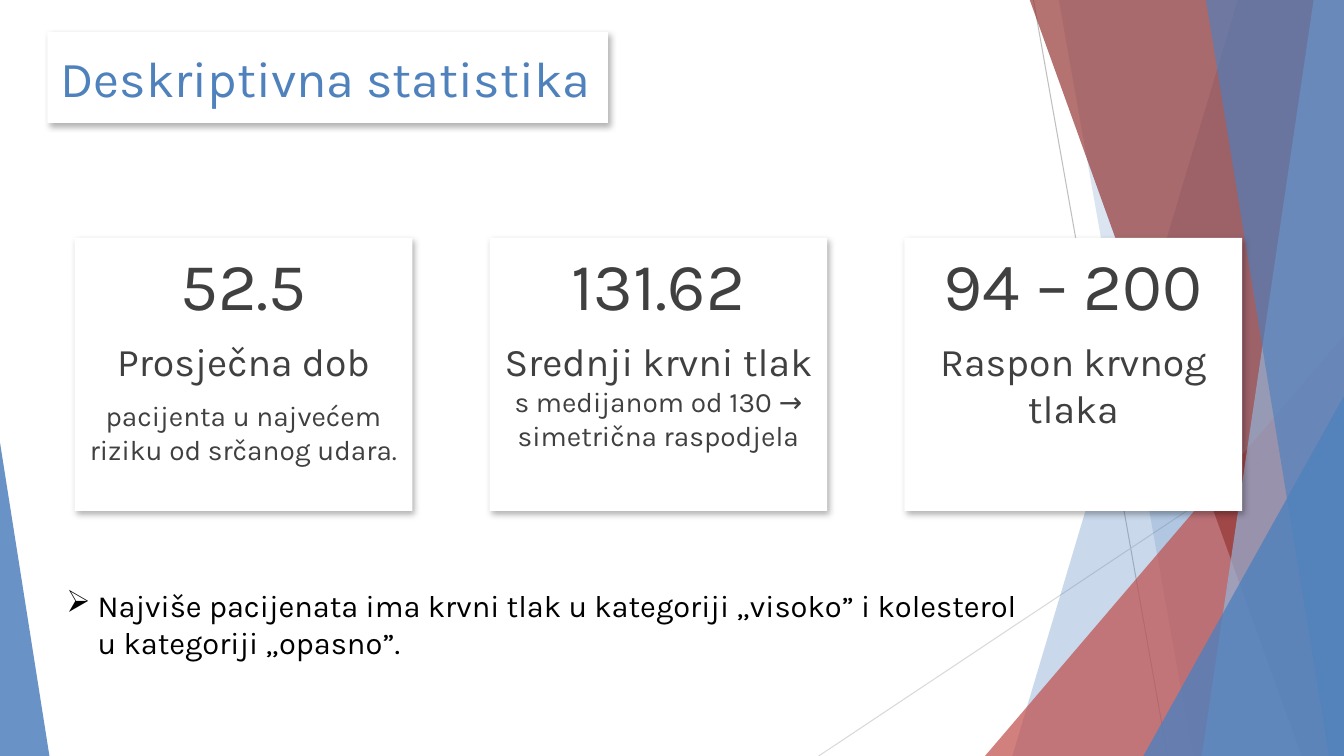
import pptx
import pptx.dml.color
import pptx.enum.shapes
import pptx.enum.text
import pptx.oxml
import pptx.oxml.ns
import pptx.util
from pptx.util import Inches

COLOURS = {
    "blue": "4F81BD",
    "light blue": "95B3D7",
    "red": "C0504D",
    "dark red": "953735",
    "white": "FFFFFF",
    "black": "000000",
    "text": "404040",
    "grey": "BFBFBF",
    "light grey": "D9D9D9",
}
FONT = "Karla"
RIGHT, TOP, BOTTOM = 13.33, -0.01, 7.5

# Each band runs to the right edge: top x, bottom x, colour, opacity in percent
BACK_BANDS = [(12.28, 10.04, "blue", 30), (10.5, 11.83, "blue", 20)]
FRONT_BANDS = [
    (10.21, 12.91, "dark red", 70),
    (13.03, 11.92, "light blue", 70),
    (11.96, 13.18, "blue", 65),
]

# Each card holds paragraphs, and each paragraph holds (text, size) lines
CARDS = [
    [[("52.5", 48)], [("Prosječna dob", 28)],
     [("pacijenta u najvećem riziku od srčanog udara.", 20)]],
    [[("131.62", 48)],
     [("Srednji krvni tlak", 28),
      ("s medijanom od 130 → simetrična raspodjela", 20)]],
    [[("94 – 200", 48)], [("Raspon krvnog tlaka", 28)]],
]


def set_attributes(target, values):
    for name, value in values.items():
        setattr(target, name, value)


def rgb(colour):
    return pptx.dml.color.RGBColor.from_string(COLOURS[colour])


def add_effects(parent, content=""):
    namespace = pptx.oxml.ns.nsdecls("a")
    parent.append(pptx.oxml.parse_xml(f"<a:effectLst {namespace}>{content}</a:effectLst>"))


def fill_shape(shape, colour, opacity=100):
    shape.shadow.inherit = False
    shape.line.fill.background()
    shape.fill.solid()
    shape.fill.fore_color.rgb = rgb(colour)
    if opacity < 100:
        colour_element = shape.fill._xPr.find(".//" + pptx.oxml.ns.qn("a:srgbClr"))
        alpha = colour_element.makeelement(
            pptx.oxml.ns.qn("a:alpha"), {"val": str(opacity * 1000)})
        colour_element.append(alpha)


def add_thin_line(slide, start, end, colour):
    line = slide.shapes.add_connector(
        pptx.enum.shapes.MSO_CONNECTOR.STRAIGHT, *map(Inches, start + end))
    line.line.color.rgb = rgb(colour)
    line.line.width = pptx.util.Pt(0.75)
    add_effects(line._element.spPr)


def add_band(slide, top_x, bottom_x, colour, opacity):
    builder = slide.shapes.build_freeform(Inches(top_x), Inches(TOP))
    corners = [(RIGHT, TOP), (RIGHT, BOTTOM), (bottom_x, BOTTOM)]
    builder.add_line_segments([(Inches(x), Inches(y)) for x, y in corners], close=True)
    fill_shape(builder.convert_to_shape(), colour, opacity)


def add_triangle(slide, place, apex, colour, opacity):
    triangle = slide.shapes.add_shape(
        pptx.enum.shapes.MSO_SHAPE.ISOSCELES_TRIANGLE, *map(Inches, place))
    triangle.adjustments[0] = apex
    fill_shape(triangle, colour, opacity)


def add_panel(slide, place, frame_format):
    panel = slide.shapes.add_shape(
        pptx.enum.shapes.MSO_SHAPE.RECTANGLE, *map(Inches, place))
    fill_shape(panel, "white")
    properties = panel._element.spPr
    properties.remove(properties.find(pptx.oxml.ns.qn("a:effectLst")))
    add_effects(properties, (
        '<a:outerShdw blurRad="57150" dist="33020" dir="3180000" algn="ctr" rotWithShape="0">'
        f'<a:srgbClr val="{COLOURS["black"]}"><a:alpha val="30000"/></a:srgbClr></a:outerShdw>'))
    set_attributes(panel.text_frame, {"word_wrap": True, **frame_format})
    return panel.text_frame


def add_text(paragraph, text, size, colour):
    run = paragraph.add_run()
    run.text = text
    set_attributes(run.font, {"name": FONT, "size": pptx.util.Pt(size)})
    run.font.color.rgb = rgb(colour)


def add_card(slide, place, paragraphs):
    frame = add_panel(slide, place, {"vertical_anchor": pptx.enum.text.MSO_ANCHOR.TOP})
    for index, lines in enumerate(paragraphs):
        paragraph = frame.add_paragraph() if index else frame.paragraphs[0]
        set_attributes(paragraph, {
            "alignment": pptx.enum.text.PP_ALIGN.CENTER,
            "space_before": pptx.util.Pt(10),
        })
        for line_index, (text, size) in enumerate(lines):
            if line_index:
                paragraph.add_line_break()
            add_text(paragraph, text, size, "text")


def add_title(slide, text):
    margin = Inches(0.13)
    sides = ("left", "top", "right", "bottom")
    frame = add_panel(slide, (0.47, 0.32, 5.56, 0.9), {
        "vertical_anchor": pptx.enum.text.MSO_ANCHOR.MIDDLE,
        **{f"margin_{side}": margin for side in sides},
    })
    paragraph = frame.paragraphs[0]
    paragraph.alignment = pptx.enum.text.PP_ALIGN.LEFT
    add_text(paragraph, text, 36, "blue")


def add_bullet(slide, place, text):
    frame = slide.shapes.add_textbox(*map(Inches, place)).text_frame
    set_attributes(frame, {
        "word_wrap": True,
        "auto_size": pptx.enum.text.MSO_AUTO_SIZE.SHAPE_TO_FIT_TEXT,
    })
    paragraph = frame.paragraphs[0]
    properties = paragraph._p.get_or_add_pPr()
    indent = Inches(0.31)
    properties.set("marL", str(indent))
    properties.set("indent", str(-indent))
    properties.append(pptx.oxml.parse_xml(
        f'<a:buChar {pptx.oxml.ns.nsdecls("a")} char="➢"/>'))
    add_text(paragraph, text, 22, "black")


def add_decoration(slide):
    add_thin_line(slide, (10.25, 0), (11.58, BOTTOM), "grey")
    add_thin_line(slide, (RIGHT, 4.03), (8.12, BOTTOM), "light grey")
    for band in BACK_BANDS:
        add_band(slide, *band)
    add_triangle(slide, (9.77, 3.33, 3.56, 4.17), 1, "red", 72)
    for band in FRONT_BANDS:
        add_band(slide, *band)
    add_triangle(slide, (11.34, 3.93, 1.99, 3.57), 1, "blue", 80)
    add_triangle(slide, (0, 4.39, 0.49, 3.11), 0, "blue", 85)


def main():
    presentation = pptx.Presentation()
    set_attributes(presentation, {
        "slide_width": Inches(13.33), "slide_height": Inches(7.5)})
    slide = presentation.slides.add_slide(presentation.slide_layouts[6])

    # Coloured bands at the edges
    add_decoration(slide)

    # Three equally spaced figures
    for index, paragraphs in enumerate(CARDS):
        add_card(slide, (0.74 + index * 4.115, 2.36, 3.35, 2.71), paragraphs)

    # Conclusion and title
    add_bullet(slide, (0.56, 5.77, 9.75, 0.84),
               "Najviše pacijenata ima krvni tlak u kategoriji „visoko” "
               "i kolesterol u kategoriji „opasno”.")
    add_title(slide, "Deskriptivna statistika")
    presentation.save("out.pptx")


if __name__ == "__main__":
    main()
